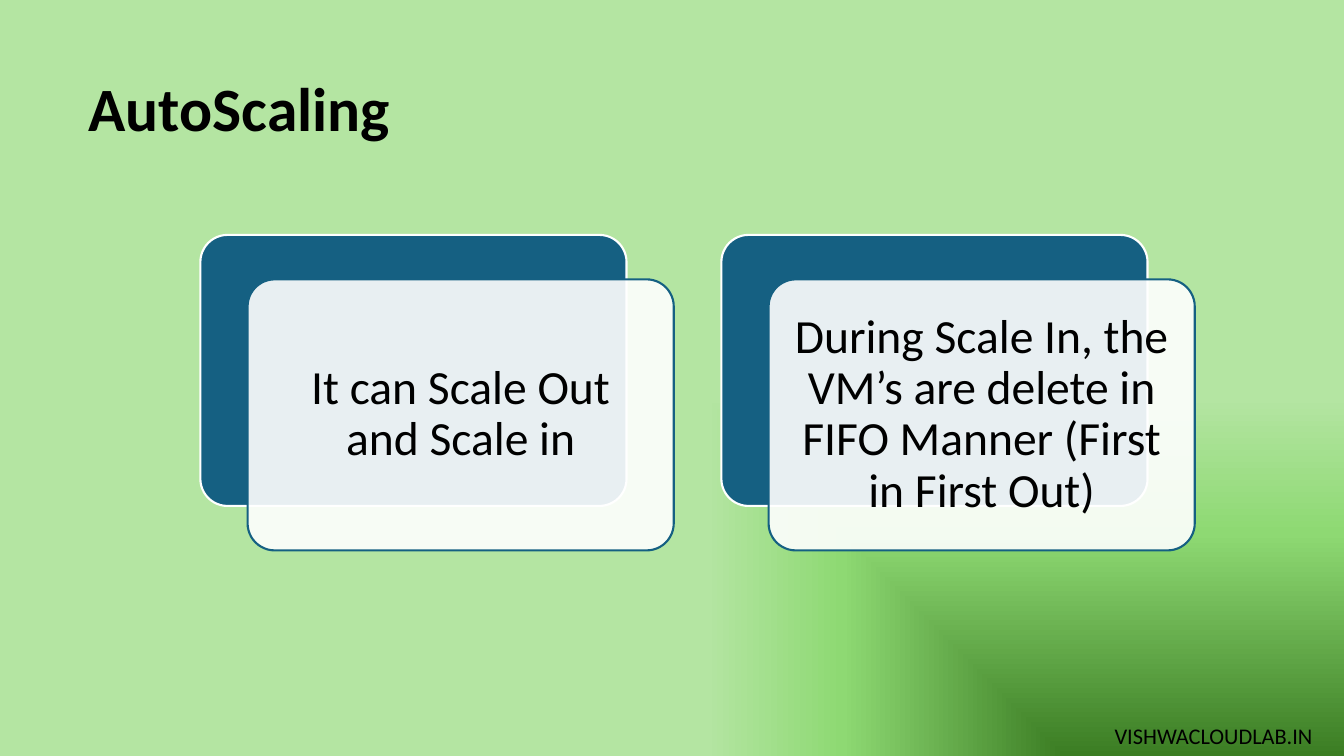
from dataclasses import dataclass

from lxml import etree
from pptx import Presentation
from pptx.dml.color import RGBColor
from pptx.enum.shapes import MSO_SHAPE
from pptx.enum.text import MSO_ANCHOR, PP_ALIGN
from pptx.oxml import parse_xml
from pptx.oxml.ns import nsdecls, qn
from pptx.shapes.autoshape import Shape
from pptx.slide import Slide
from pptx.text.text import TextFrame
from pptx.util import Cm, Pt

ROUNDED = MSO_SHAPE.ROUNDED_RECTANGLE
MIDDLE = MSO_ANCHOR.MIDDLE
CENTER = PP_ALIGN.CENTER
FONT = "Calibri"
COLORS = {"text": "000000", "blue": "156082", "white": "FFFFFF"}
BACKGROUND_STOPS = [(0, "3B7D23"), (59, "8ED973"), (95, "B4E5A2")]

CARD_LEFT, CARD_TOP = 5.05, 5.92
CARD_WIDTH, CARD_HEIGHT = 10.74, 6.83
CARD_PITCH = 13.13
FRONT_DX, FRONT_DY = 1.19, 1.12
CARD_INSET = 0.36


@dataclass
class Label:
    text: str
    left: float
    top: float
    width: float
    height: float
    size: int
    bold: bool = False
    line_spacing: float = 1.0
    anchor: MSO_ANCHOR = MSO_ANCHOR.TOP


LABELS = [
    Label("VISHWACLOUDLAB.IN", 27.84, 18.06, 5.97, 0.94, 16),
    Label("AutoScaling", 1.98, 1.63, 11.81, 2.36, 44, True, 0.9, MIDDLE),
]
CARD_TEXTS = [
    "It can Scale Out and Scale in",
    "During Scale In, the VM’s are delete in FIFO Manner (First in First Out)",
]


def rgb(name: str) -> RGBColor:
    return RGBColor.from_string(COLORS[name])


def set_background(s: Slide) -> None:
    """Fill the slide with a gradient that spreads from its bottom right corner."""
    stops = "".join(
        f'<a:gs pos="{pos * 1000}"><a:srgbClr val="{color}"/></a:gs>'
        for pos, color in BACKGROUND_STOPS
    )
    bg = parse_xml(
        f'<p:bg {nsdecls("p", "a")}><p:bgPr><a:gradFill rotWithShape="1">'
        f'<a:gsLst>{stops}</a:gsLst><a:path path="rect">'
        '<a:fillToRect l="100000" t="100000"/></a:path></a:gradFill>'
        '<a:effectLst/></p:bgPr></p:bg>'
    )
    s.element.cSld.insert(0, bg)


def write(tf: TextFrame, text: str, size: int, bold: bool = False,
          line_spacing: float = 1.0) -> None:
    tf.word_wrap = True
    p = tf.paragraphs[0]
    p.line_spacing = line_spacing
    r = p.add_run()
    r.text = text
    r.font.name = FONT
    r.font.size = Pt(size)
    r.font.bold = bold
    r.font.color.rgb = rgb("text")


def add_label(s: Slide, label: Label) -> None:
    box = s.shapes.add_textbox(Cm(label.left), Cm(label.top),
                               Cm(label.width), Cm(label.height))
    box.text_frame.vertical_anchor = label.anchor
    write(box.text_frame, label.text, label.size, label.bold, label.line_spacing)


def add_panel(s: Slide, left: float, top: float, fill: str, line: str) -> Shape:
    sp = s.shapes.add_shape(ROUNDED, Cm(left), Cm(top), Cm(CARD_WIDTH), Cm(CARD_HEIGHT))
    sp.adjustments[0] = 0.1
    sp.shadow.inherit = False
    sp.fill.solid()
    sp.fill.fore_color.rgb = rgb(fill)
    sp.line.color.rgb = rgb(line)
    sp.line.width = Pt(1.5)
    return sp


def set_opacity(sp: Shape, percent: int) -> None:
    color = sp.element.spPr.find(qn("a:solidFill")).find(qn("a:srgbClr"))
    etree.SubElement(color, qn("a:alpha"), val=str(percent * 1000))


def add_card(s: Slide, left: float, text: str) -> None:
    """Draw a blue panel with an offset, nearly opaque text panel over it."""
    add_panel(s, left, CARD_TOP, "blue", "white")
    front = add_panel(s, left + FRONT_DX, CARD_TOP + FRONT_DY, "white", "blue")
    set_opacity(front, 90)
    tf = front.text_frame
    tf.margin_left = tf.margin_right = tf.margin_top = tf.margin_bottom = Cm(CARD_INSET)
    tf.vertical_anchor = MIDDLE
    write(tf, text, 34, line_spacing=0.9)
    tf.paragraphs[0].alignment = CENTER


def main() -> None:
    prs = Presentation()
    prs.slide_width, prs.slide_height = Cm(33.87), Cm(19.05)
    s = prs.slides.add_slide(prs.slide_layouts[6])
    set_background(s)
    for label in LABELS:
        add_label(s, label)
    for i, text in enumerate(CARD_TEXTS):
        add_card(s, CARD_LEFT + i * CARD_PITCH, text)
    prs.save("out.pptx")


if __name__ == "__main__":
    main()
